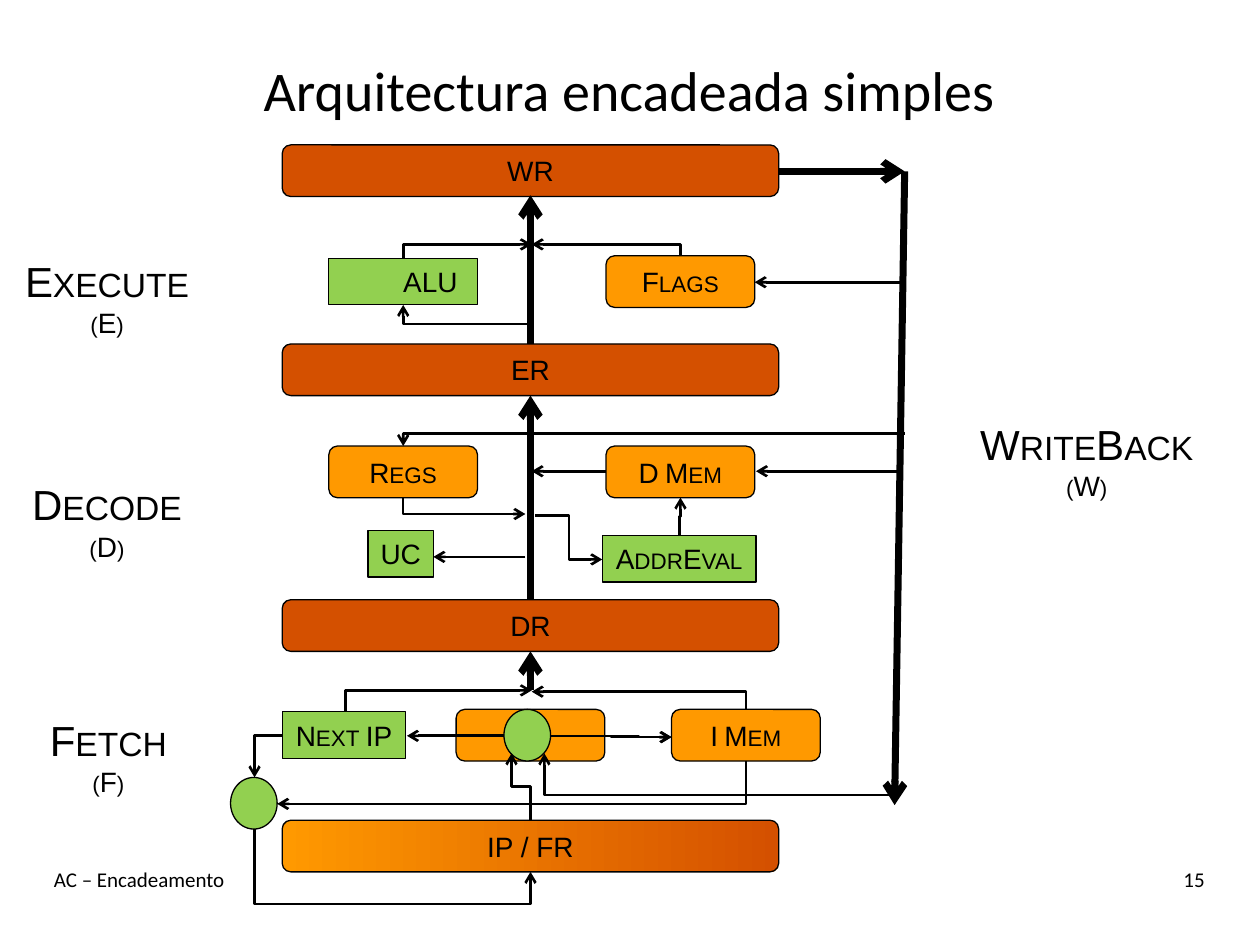
from dataclasses import dataclass
from typing import NamedTuple

from lxml.etree import SubElement
from pptx import Presentation
from pptx.dml.color import RGBColor
from pptx.enum.shapes import MSO_CONNECTOR, MSO_SHAPE
from pptx.enum.text import MSO_ANCHOR, PP_ALIGN
from pptx.oxml.ns import qn
from pptx.util import Inches, Pt


@dataclass(frozen=True)
class Theme:
    ink: str = "000000"
    stage: str = "D45000"
    store: str = "FF9900"
    logic: str = "92D050"
    sans: str = "Arial"
    head: str = "Calibri"
    title: int = 32
    phase: int = 24
    body: int = 16
    foot: int = 12
    edge: float = 0.75
    wire: float = 1.5
    bus: float = 4


class Box(NamedTuple):
    text: str
    x: float
    y: float
    w: float
    h: float
    fill: str
    kind: MSO_SHAPE
    inset: float = 0.1
    fade: str = ""


class Phase(NamedTuple):
    name: str
    mark: str
    x: float
    y: float
    w: float


class Note(NamedTuple):
    text: str
    x: float
    y: float
    w: float
    h: float
    size: int
    align: PP_ALIGN
    anchor: MSO_ANCHOR = MSO_ANCHOR.TOP


class Wire(NamedTuple):
    x1: float
    y1: float
    x2: float
    y2: float
    first: str = ""
    bends: int = 1
    adj: float = 0.5


T = Theme()
ROUND, RECT, OVAL = MSO_SHAPE.ROUNDED_RECTANGLE, MSO_SHAPE.RECTANGLE, MSO_SHAPE.OVAL
MID = 4.21
TALL, LOW = 0.41, 0.37

BOXES = [
    *[Box(name, 2.24, y, 3.94, TALL, T.stage, ROUND)
      for name, y in [("WR", 1.15), ("ER", 2.73), ("DR", 4.76)]],
    Box("IP / FR", 2.24, 6.51, 3.94, TALL, T.store, ROUND, fade=T.stage),
    *[Box(name, x, y, 1.18, TALL, T.store, ROUND)
      for name, x, y in [("", 3.62, 5.63), ("I Mem", 5.33, 5.63), ("D Mem", 4.81, 3.54),
                         ("Regs", 2.61, 3.54), ("Flags", 4.81, 2.03)]],
    *[Box(name, x, y, w, LOW, T.logic, RECT, inset)
      for name, x, y, w, inset in [("Next IP", 2.24, 5.65, 0.98, 0.1), ("UC", 2.92, 4.21, 0.52, 0.1),
                                   ("ALU", 2.61, 2.05, 1.18, 0.59), ("AddrEval", 4.78, 4.25, 1.22, 0.1)]],
    *[Box("", x, y, LOW, TALL, T.logic, OVAL) for x, y in [(4, 5.63), (1.83, 6.17)]],
]

PHASES = [
    Phase("Fetch", "(F)", 0.29, 5.62, 1.14),
    Phase("Decode", "(D)", 0.15, 3.75, 1.4),
    Phase("Execute", "(E)", 0.09, 1.98, 1.52),
    Phase("WriteBack", "(W)", 7.67, 3.27, 1.91),
]

NOTES = [
    Note("Arquitectura encadeada simples", 0.33, 0.25, 9.33, 0.92, T.title, PP_ALIGN.CENTER, MSO_ANCHOR.MIDDLE),
    Note("AC – Encadeamento", 0.33, 6.83, 7, 0.5, T.foot, PP_ALIGN.LEFT),
    Note("15", 8.33, 6.83, 1.33, 0.5, T.foot, PP_ALIGN.RIGHT),
]

BUSES = [
    Wire(MID, 5.48, MID, 5.17),
    Wire(MID, 4.76, MID, 3.14),
    Wire(MID, 2.73, MID, 1.55),
    Wire(6.18, 1.36, 7.18, 1.36),
    Wire(7.18, 1.36, 7.1, 6.39),
]

WIRES = [
    Wire(4.17, 4.42, 3.44, 4.42),
    Wire(4.81, 3.74, 4.22, 3.74),
    Wire(7.18, 2.24, 5.99, 2.24),
    Wire(7.14, 3.74, 6, 3.74),
    Wire(4, 5.84, 3.23, 5.84),
    Wire(4.81, 5.84, 5.33, 5.85, "h", 2),
    Wire(4.37, 5.84, 5.33, 5.85, "h", 2),
    Wire(4.25, 4.09, 4.78, 4.44, "h", 2),
    Wire(5.39, 4.25, 5.4, 3.95, "v", 2),
    Wire(MID, 6.51, 4.06, 5.98, "v", 2),
    Wire(2.02, 6.58, MID, 6.92, "v", 2, 1.75),
    Wire(2.74, 5.65, 4.22, 5.48, "v"),
    Wire(5.92, 5.63, 4.22, 5.49, "v"),
    Wire(3.2, 3.95, 4.17, 4.08, "v"),
    Wire(3.2, 2.05, 4.22, 1.94, "v"),
    Wire(5.4, 2.03, 4.22, 1.94, "v"),
    Wire(5.92, 6.04, 2.2, 6.38, "v"),
    Wire(4.22, 2.57, 3.2, 2.42, "h"),
    Wire(7.18, 3.44, 3.2, 3.54, "h"),
    Wire(7.14, 6.31, 4.32, 5.98, "h"),
    Wire(2.24, 5.84, 2.02, 6.17, "h"),
]


def rgb(code: str) -> RGBColor:
    return RGBColor.from_string(code)


def add_run(para, text: str, size: int, face: str, small: bool = False) -> None:
    run = para.add_run()
    run.text = text
    run.font.size = Pt(size)
    run.font.name = face
    run.font.color.rgb = rgb(T.ink)
    if small:
        run.font._element.set("cap", "small")


def draw_box(shapes, box: Box) -> None:
    shape = shapes.add_shape(box.kind, *map(Inches, (box.x, box.y, box.w, box.h)))
    shape.shadow.inherit = False
    if box.fade:
        shape.fill.gradient()
        shape.fill.gradient_angle = 0
        for stop, code, at in zip(shape.fill.gradient_stops, (box.fill, box.fade), (0, 1)):
            stop.color.rgb = rgb(code)
            stop.position = at
    else:
        shape.fill.solid()
        shape.fill.fore_color.rgb = rgb(box.fill)
    shape.line.color.rgb = rgb(T.ink)
    shape.line.width = Pt(T.edge)
    if box.text:
        frame = shape.text_frame
        frame.margin_left = Inches(box.inset)
        frame.word_wrap = box.kind == ROUND or box.inset > 0.1
        para = frame.paragraphs[0]
        para.alignment = PP_ALIGN.LEFT if box.inset > 0.1 else PP_ALIGN.CENTER
        add_run(para, box.text, T.body, T.sans, not box.text.isupper())


def draw_phase(shapes, item: Phase) -> None:
    frame = shapes.add_textbox(*map(Inches, (item.x, item.y, item.w, 0.77))).text_frame
    frame.word_wrap = False
    for para, text, size in [(frame.paragraphs[0], item.name, T.phase),
                             (frame.add_paragraph(), item.mark, T.body)]:
        para.alignment = PP_ALIGN.CENTER
        add_run(para, text, size, T.sans, True)


def draw_note(shapes, note: Note) -> None:
    frame = shapes.add_textbox(*map(Inches, (note.x, note.y, note.w, note.h))).text_frame
    frame.word_wrap = True
    frame.vertical_anchor = note.anchor
    para = frame.paragraphs[0]
    para.alignment = note.align
    add_run(para, note.text, note.size, T.head)


def bend(shapes, wire: Wire):
    dx, dy = wire.x2 - wire.x1, wire.y2 - wire.y1
    wide, high = abs(dx), abs(dy)
    if wire.first == "h":
        turn, flip_h, flip_v = (180, False, dy > 0) if dx < 0 else (0, False, dy < 0)
    else:
        wide, high = high, wide
        turn, flip_h, flip_v = (90, dy < 0, dx > 0) if dx * dy < 0 else (270, dy > 0, dx < 0)
    left, top = (wire.x1 + wire.x2 - wide) / 2, (wire.y1 + wire.y2 - high) / 2
    line = shapes.add_connector(MSO_CONNECTOR.ELBOW, *map(Inches, (left, top, left + wide, top + high)))
    props = line._element.spPr
    xfrm, geom = props.find(qn("a:xfrm")), props.find(qn("a:prstGeom"))
    for key, value in [("rot", turn * 60000), ("flipH", int(flip_h)), ("flipV", int(flip_v))]:
        if value:
            xfrm.set(key, str(value))
    geom.set("prst", f"bentConnector{wire.bends + 1}")
    if wire.bends == 2:
        guide = SubElement(geom.find(qn("a:avLst")), qn("a:gd"))
        guide.set("name", "adj1")
        guide.set("fmla", f"val {round(wire.adj * 100000)}")
    return line


def draw_wire(shapes, wire: Wire, width: float) -> None:
    if wire.first:
        line = bend(shapes, wire)
    else:
        line = shapes.add_connector(MSO_CONNECTOR.STRAIGHT, *map(Inches, wire[:4]))
    line.line.color.rgb = rgb(T.ink)
    line.line.width = Pt(width)
    SubElement(line.line._get_or_add_ln(), qn("a:tailEnd")).set("type", "arrow")
    SubElement(line._element.spPr, qn("a:effectLst"))


def main() -> None:
    deck = Presentation()
    deck.slide_width, deck.slide_height = Inches(10), Inches(7.5)
    shapes = deck.slides.add_slide(deck.slide_layouts[6]).shapes
    for draw, items in [(draw_note, NOTES), (draw_box, BOXES), (draw_phase, PHASES)]:
        for item in items:
            draw(shapes, item)
    for group, width in [(BUSES, T.bus), (WIRES, T.wire)]:
        for wire in group:
            draw_wire(shapes, wire, width)
    deck.save("out.pptx")


main()
